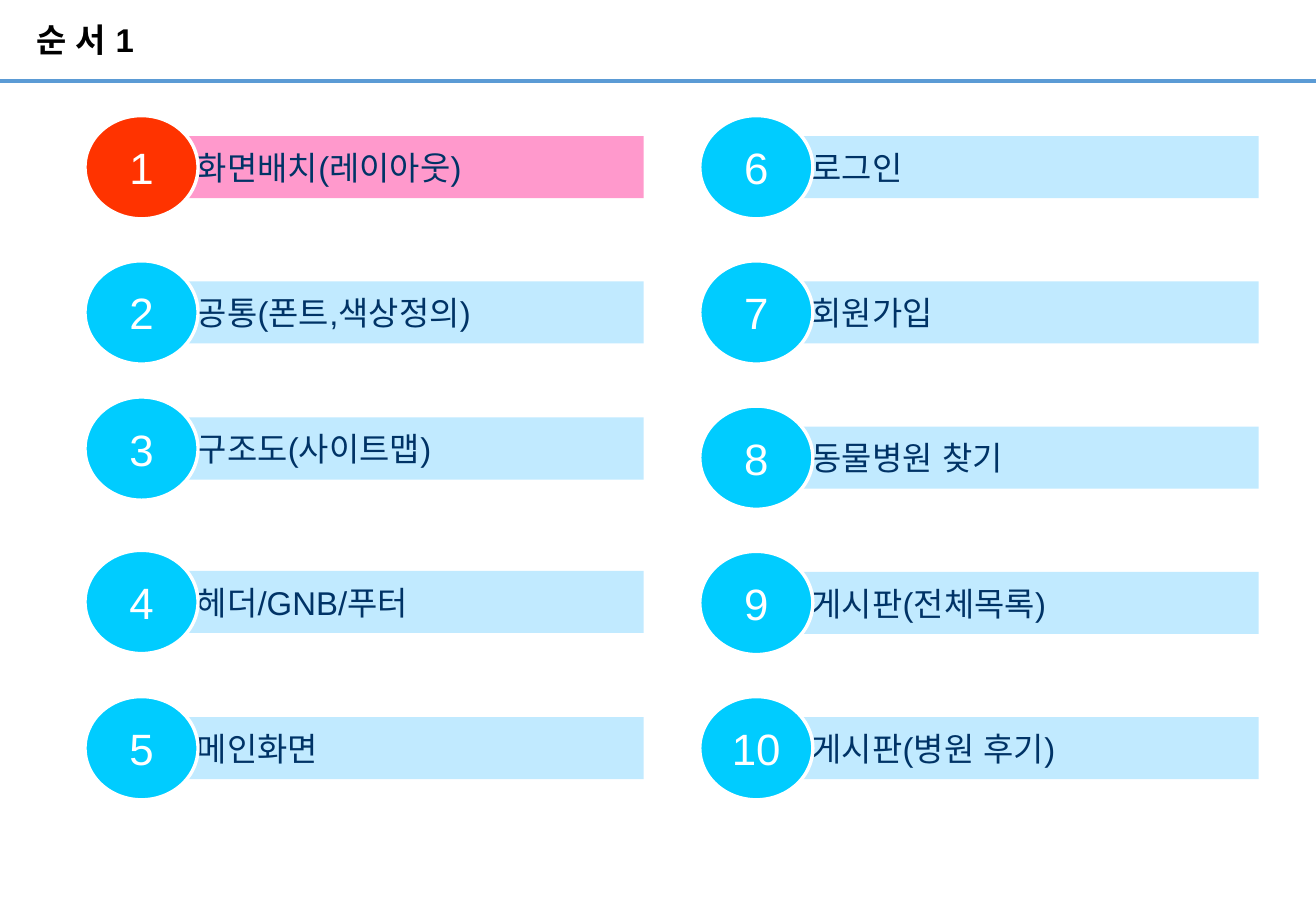
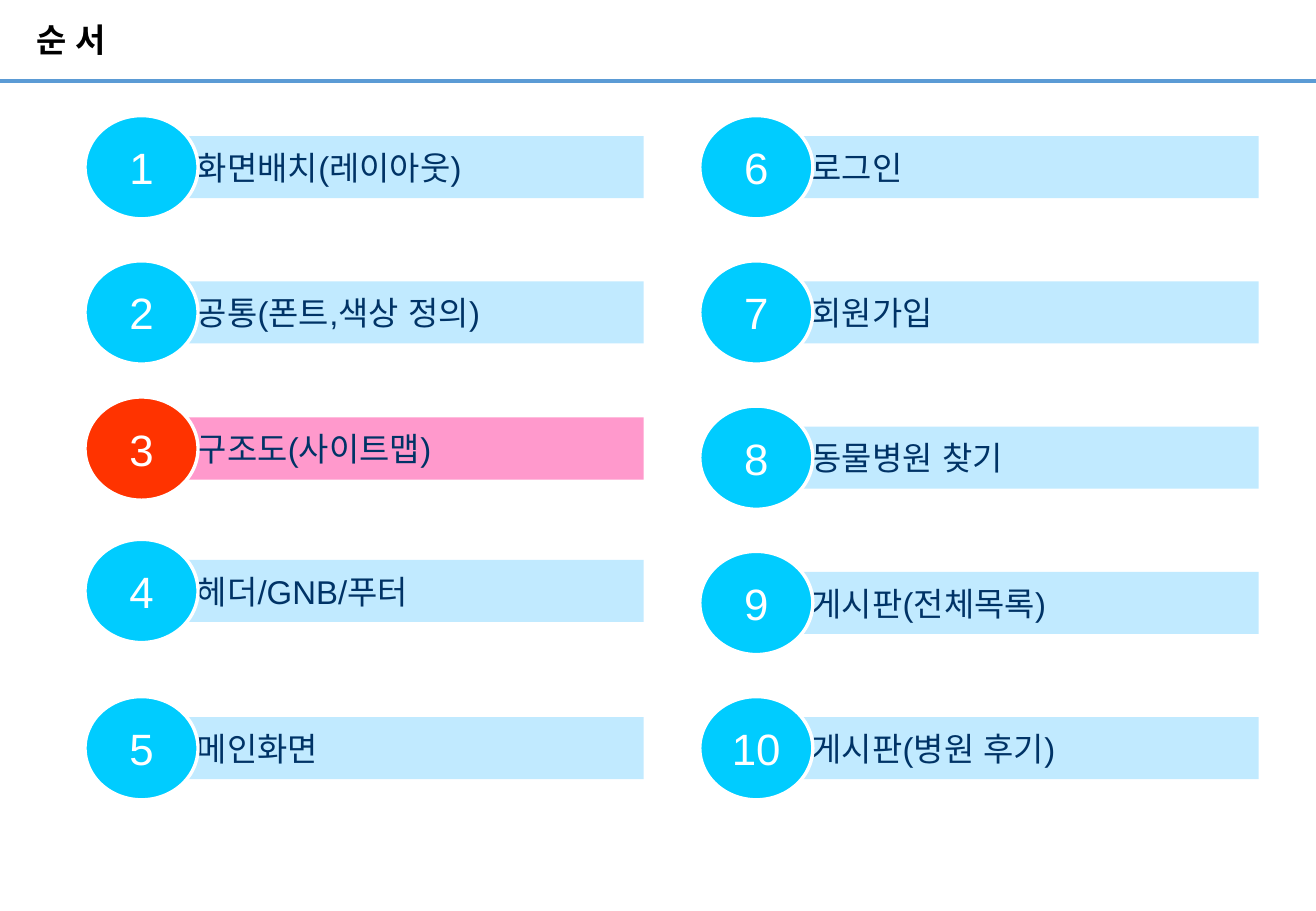
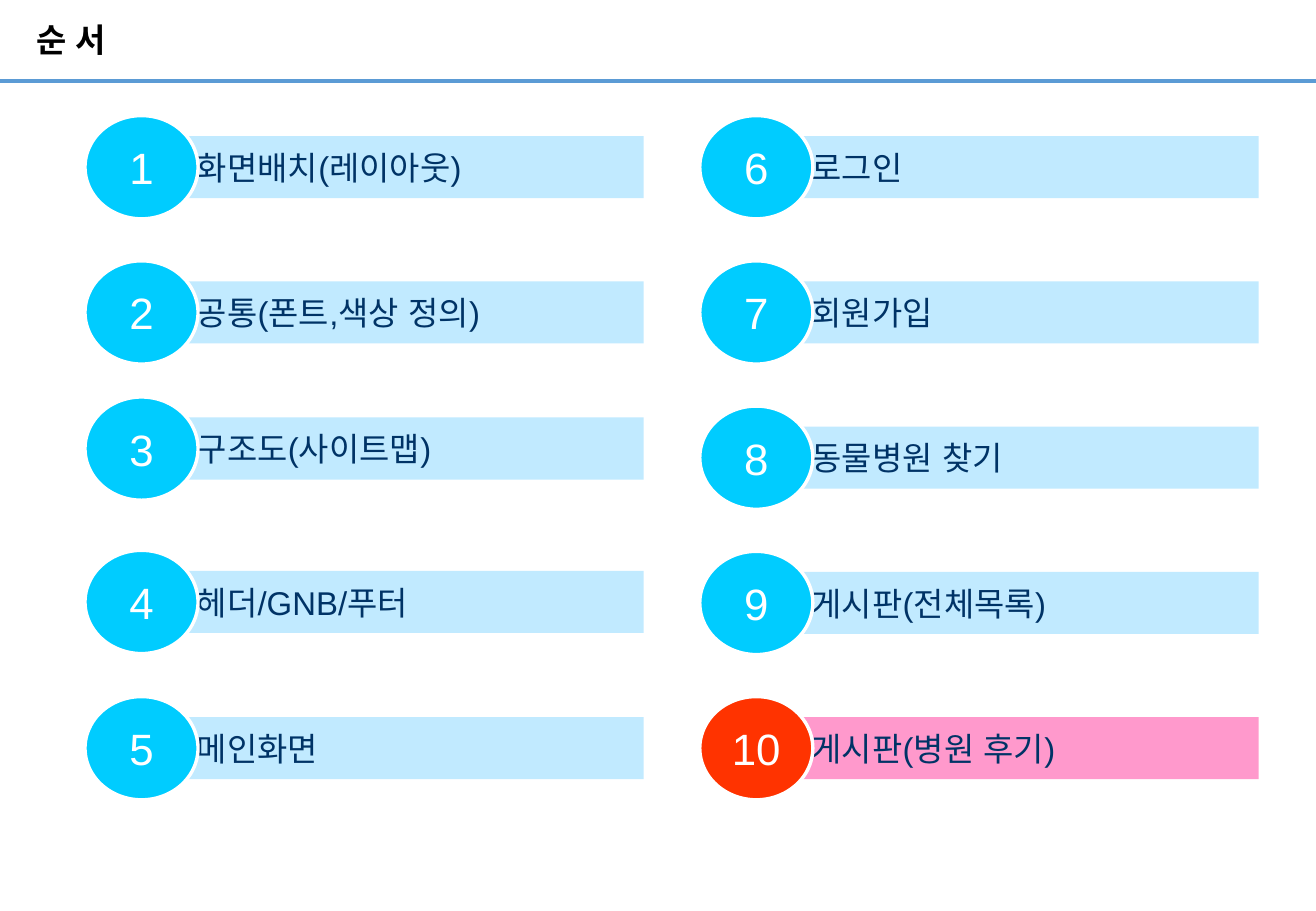
from typing import NamedTuple

from lxml import etree
from pptx import Presentation
from pptx.dml.color import RGBColor
from pptx.enum import lang, shapes, text
from pptx.oxml import ns
from pptx.util import Pt

FONT = "Arial"
WIDTH, HEIGHT = 780, 540
RULE_Y = 48.2
LEFT, TOP = 50.4, 68.5
COL, ROW = 364.4, 86.1
DISC_W, DISC_H = 67, 61.2
BAR_X, BAR_Y = 26.6, 12.2
BAR_W, BAR_H = 304.6, 36.8
INDENT = 39.7
WHITE, BLACK, NAVY = "FFFFFF", "000000", "003366"
BLUE, SKY, RED, PINK = "00CCFF", "C1EAFF", "FF3300", "FF99CC"
RULE = "5B9BD5"


class Item(NamedTuple):
    num: int
    label: str
    x: float
    y: float


class Page(NamedTuple):
    title: str
    active: int
    colors: str
    header_y: float


def rgb(code: str) -> RGBColor:
    return RGBColor.from_string(code)


def write(frame, words: str, size: float, color: str, align, bold: bool = False):
    frame.word_wrap = True
    frame.auto_size = text.MSO_AUTO_SIZE.NONE
    frame.vertical_anchor = text.MSO_ANCHOR.MIDDLE
    para = frame.paragraphs[0]
    para.alignment = align
    run = para.add_run()
    run.text = words
    font = run.font
    font.name, font.size, font.bold = FONT, Pt(size), bold
    font.color.rgb = rgb(color)
    font.language_id = lang.MSO_LANGUAGE_ID.KOREAN
    return para


def block(slide, kind, x: float, y: float, w: float, h: float, fill: str):
    shape = slide.shapes.add_shape(kind, Pt(x), Pt(y), Pt(w), Pt(h))
    shape.shadow.inherit = False
    shape.fill.solid()
    shape.fill.fore_color.rgb = rgb(fill)
    return shape


def draw_item(slide, item: Item, active: bool) -> None:
    bar = block(slide, shapes.MSO_SHAPE.RECTANGLE, item.x + BAR_X, item.y + BAR_Y,
                BAR_W, BAR_H, PINK if active else SKY)
    bar.line.fill.background()
    bar.text_frame.margin_left = Pt(INDENT)
    write(bar.text_frame, item.label, 19.5, NAVY, text.PP_ALIGN.LEFT)

    disc = block(slide, shapes.MSO_SHAPE.OVAL, item.x, item.y,
                 DISC_W, DISC_H, RED if active else BLUE)
    disc.line.color.rgb = rgb(WHITE)
    disc.line.width = Pt(2)
    write(disc.text_frame, str(item.num), 26, WHITE, text.PP_ALIGN.CENTER)


def draw_title(slide, words: str) -> None:
    title = slide.shapes.title
    title.left, title.top, title.width, title.height = Pt(21.6), Pt(0), Pt(510.5), Pt(49)
    frame = title.text_frame
    frame.margin_left = frame.margin_right = frame.margin_top = frame.margin_bottom = 0
    para = write(frame, words, 19.5, BLACK, text.PP_ALIGN.LEFT, True)
    para.line_spacing = 0.9


def add_rule(slide, layout) -> None:
    rule = slide.shapes.add_connector(
        shapes.MSO_CONNECTOR.STRAIGHT, Pt(0), Pt(RULE_Y), Pt(WIDTH), Pt(RULE_Y))
    rule.line.color.rgb = rgb(RULE)
    rule.line.width = Pt(2.25)
    etree.SubElement(rule.element.spPr, ns.qn("a:effectLst"))
    layout.shapes.element.append(rule.element)


def items(page: Page) -> list[Item]:
    first = {
        "화면배치(레이아웃)": TOP,
        f"공통(폰트,{page.colors})": TOP + ROW,
        "구조도(사이트맵)": 235.3,
        "헤더/GNB/푸터": page.header_y,
        "메인화면": TOP + 4 * ROW,
    }
    second = ["로그인", "회원가입", "동물병원 찾기", "게시판(전체목록)", "게시판(병원 후기)"]
    left = [Item(n, label, LEFT, y) for n, (label, y) in enumerate(first.items(), 1)]
    right = [Item(n + 6, label, LEFT + COL, TOP + n * ROW) for n, label in enumerate(second)]
    return left + right


PAGES = [
    Page("순 서 1", 1, "색상정의", 326.2),
    Page("순 서", 3, "색상 정의", 319.7),
    Page("순 서", 10, "색상 정의", 326.2),
]


def main() -> None:
    deck = Presentation()
    deck.slide_width, deck.slide_height = Pt(WIDTH), Pt(HEIGHT)
    layout = deck.slide_layouts[5]
    for page in PAGES:
        slide = deck.slides.add_slide(layout)
        if page is PAGES[0]:
            add_rule(slide, layout)
        draw_title(slide, page.title)
        for item in items(page):
            draw_item(slide, item, item.num == page.active)
    deck.save("out.pptx")


if __name__ == "__main__":
    main()
